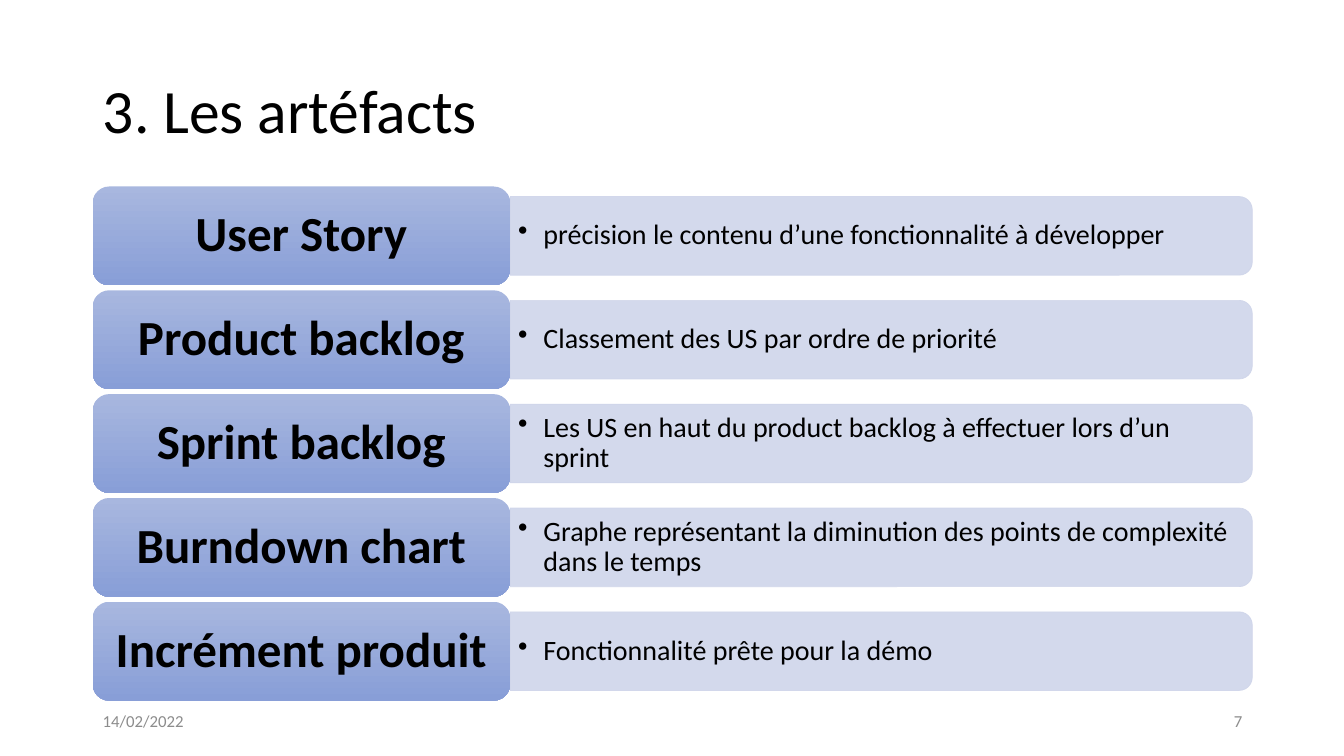
import pptx
import pptx.util
import pptx.dml.color
import pptx.enum.shapes
import pptx.enum.text
import pptx.oxml
import pptx.oxml.ns

# Content
TITLE = "3. Les artéfacts"
ARTEFACTS = [
    ("User Story", "précision le contenu d’une fonctionnalité à développer"),
    ("Product backlog", "Classement des US par ordre de priorité"),
    ("Sprint backlog", "Les US en haut du product backlog à effectuer lors d’un sprint"),
    ("Burndown chart", "Graphe représentant la diminution des points de complexité dans le temps"),
    ("Incrément produit", "Fonctionnalité prête pour la démo"),
]
DATE = "14/02/2022"
PAGE = "7"

COLORS = {"text": "000000", "footer": "8C8C8C", "bar": "CFD5EA",
          "label_top": "A8B7DF", "label_bottom": "889ED7"}
FONT = "Calibri"

# Layout in px, 100 px to the inch
SCALE = 9144
LEFT, FIRST_TOP, ROW_STEP = 92, 185, 103
LABEL_WIDTH, LABEL_HEIGHT = 414, 98
BAR_WIDTH, BAR_HEIGHT = 736, 78
TEXT_WIDTH, TEXT_HEIGHT = 732, 71
BAR_LEFT = LEFT + LABEL_WIDTH
FOOTER_TOP, FOOTER_WIDTH, FOOTER_HEIGHT = 695, 300, 40
BULLET_INDENT = 25
BAR_OPACITY = 90

ALIGN = pptx.enum.text.PP_ALIGN
SHAPES = pptx.enum.shapes.MSO_SHAPE


def px(*lengths):
    return [pptx.util.Emu(round(length * SCALE)) for length in lengths]


def rgb(name):
    return pptx.dml.color.RGBColor.from_string(COLORS[name])


def write(shape, text, size, color="text", align=ALIGN.LEFT, bold=False,
          spacing=None, insets=(10, 5)):
    frame = shape.text_frame
    frame.text = text
    frame.word_wrap = True
    frame.vertical_anchor = pptx.enum.text.MSO_ANCHOR.MIDDLE
    side, edge = px(*insets)
    frame.margin_left = frame.margin_right = side
    frame.margin_top = frame.margin_bottom = edge
    paragraph = frame.paragraphs[0]
    paragraph.alignment = align
    paragraph.line_spacing = spacing
    font = paragraph.runs[0].font
    font.name, font.size, font.bold = FONT, pptx.util.Pt(size), bold
    font.color.rgb = rgb(color)
    return paragraph


def add_bullet(paragraph):
    properties = paragraph._p.get_or_add_pPr()
    indent = px(BULLET_INDENT)[0]
    properties.set("marL", str(indent))
    properties.set("indent", str(-indent))
    bullet = pptx.oxml.parse_xml(
        f'<a:buChar {pptx.oxml.ns.nsdecls("a")} char="•"/>')
    properties.append(bullet)


def add_bar(shapes, middle):
    # The shape is upright, then turned so its rounded end faces right
    bar = shapes.add_shape(
        SHAPES.ROUND_2_SAME_RECTANGLE,
        *px(BAR_LEFT + (BAR_WIDTH - BAR_HEIGHT) / 2, middle - BAR_WIDTH / 2,
            BAR_HEIGHT, BAR_WIDTH))
    bar.rotation = 90
    bar.shadow.inherit = False
    bar.fill.solid()
    bar.fill.fore_color.rgb = rgb("bar")
    bar.line.color.rgb = rgb("bar")
    bar.line.width = pptx.util.Pt(0.5)
    for color in bar._element.spPr.iter(pptx.oxml.ns.qn("a:srgbClr")):
        color.append(pptx.oxml.parse_xml(
            f'<a:alpha {pptx.oxml.ns.nsdecls("a")} val="{BAR_OPACITY * 1000}"/>'))


def add_description(shapes, middle, text):
    box = shapes.add_textbox(
        *px(BAR_LEFT, middle - TEXT_HEIGHT / 2, TEXT_WIDTH, TEXT_HEIGHT))
    add_bullet(write(box, text, 20, spacing=0.9, insets=(8, 4)))


def add_label(shapes, top, text):
    label = shapes.add_shape(
        SHAPES.ROUNDED_RECTANGLE, *px(LEFT, top, LABEL_WIDTH, LABEL_HEIGHT))
    label.shadow.inherit = False
    label.line.fill.background()
    label.fill.gradient()
    label.fill.gradient_angle = 270
    for stop, name in zip(label.fill.gradient_stops, ("label_top", "label_bottom")):
        stop.color.rgb = rgb(name)
    write(label, text, 35, align=ALIGN.CENTER, bold=True, spacing=0.9, insets=(15, 7))


def main():
    presentation = pptx.Presentation()
    presentation.slide_width, presentation.slide_height = px(1333, 750)
    slide = presentation.slides.add_slide(presentation.slide_layouts[5])
    shapes = slide.shapes

    # Title
    title = shapes.title
    title.left, title.top, title.width, title.height = px(LEFT, 40, 1150, 145)
    write(title, TITLE, 44, spacing=0.9)

    # One row per artefact
    for row, (name, description) in enumerate(ARTEFACTS):
        top = FIRST_TOP + row * ROW_STEP
        middle = top + LABEL_HEIGHT / 2
        add_bar(shapes, middle)
        add_description(shapes, middle, description)
        add_label(shapes, top, name)

    # Date and page number
    for left, text, align in ((LEFT, DATE, ALIGN.LEFT), (942, PAGE, ALIGN.RIGHT)):
        box = shapes.add_textbox(*px(left, FOOTER_TOP, FOOTER_WIDTH, FOOTER_HEIGHT))
        write(box, text, 12, "footer", align)

    presentation.save("out.pptx")


if __name__ == "__main__":
    main()
